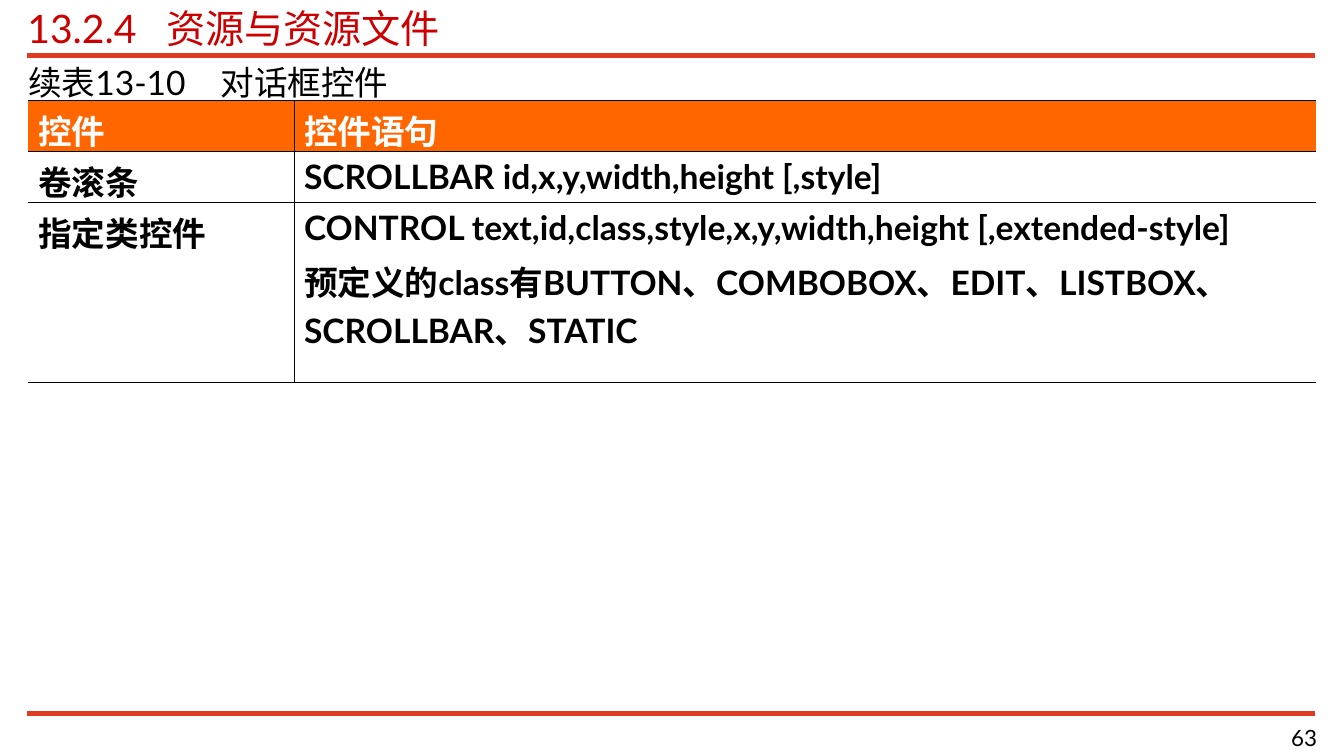
from lxml import etree
from pptx import Presentation
from pptx.enum import shapes, text
from pptx.dml.color import RGBColor
from pptx.oxml.ns import qn
from pptx.util import Cm, Pt

COLORS = {"rule": "E13A23", "title": "CC0000", "header": "FF6600",
          "ink": "000000", "white": "FFFFFF"}
FONT = "Lato"

# text, (left, top, width, height) in cm, size, colour, alignment, tab stop in cm
LABELS = [
    ("13.2.4\t资源与资源文件", (0.69, 0.1, 32.46, 1.19), 28, "title", "LEFT", 3.5),
    ("续表13-10\t对话框控件", (0.71, 1.55, 32.46, 1.02), 24, "ink", "LEFT", 4.85),
    ("63", (26.39, 18.19, 6.81, 0.79), 16, "ink", "RIGHT", None),
]
RULES = [(1.4, 4), (17.98, 3)]  # height on the slide in cm, width in points
RULE_LEFT, RULE_RIGHT = 0.69, 33.15

ROWS = [
    (["控件"], ["控件语句"]),
    (["卷滚条"], ["SCROLLBAR id,x,y,width,height [,style]"]),
    (["指定类控件"],
     ["CONTROL text,id,class,style,x,y,width,height [,extended-style]",
      "预定义的class有BUTTON、COMBOBOX、EDIT、LISTBOX、SCROLLBAR、STATIC"]),
]
TABLE_LEFT, TABLE_TOP = 0.71, 2.54
COL_WIDTHS = [6.7, 25.76]
ROW_HEIGHTS = [1.28, 1.28, 4.54]
ROW_LINES = [0.62, 0.62, 0.45, 0.62]  # points, from the top edge down
COL_LINES = [0, 0.45, 0]  # points, from the left edge across


def rgb(name):
    return RGBColor.from_string(COLORS[name])


def format_font(font, size, color, bold=False):
    for key, value in {"name": FONT, "size": Pt(size), "bold": bold}.items():
        setattr(font, key, value)
    font.color.rgb = rgb(color)


def add_label(s, words, box, size, color, align, tab):
    tf = s.shapes.add_textbox(*map(Cm, box)).text_frame
    frame = {"margin_left": 0, "margin_right": 0, "margin_top": 0, "margin_bottom": 0,
             "word_wrap": True, "vertical_anchor": text.MSO_ANCHOR.MIDDLE}
    for key, value in frame.items():
        setattr(tf, key, value)
    p = tf.paragraphs[0]
    p.alignment = getattr(text.PP_ALIGN, align)
    if tab:
        tabs = etree.SubElement(p._p.get_or_add_pPr(), qn("a:tabLst"))
        etree.SubElement(tabs, qn("a:tab"), pos=str(Cm(tab)), algn="l")
    r = p.add_run()
    r.text = words
    format_font(r.font, size, color)


def add_rule(s, y, width):
    line = s.shapes.add_connector(shapes.MSO_CONNECTOR.STRAIGHT,
                                  Cm(RULE_LEFT), Cm(y), Cm(RULE_RIGHT), Cm(y))
    line.line.color.rgb = rgb("rule")
    line.line.width = Pt(width)
    etree.SubElement(line._element.spPr, qn("a:effectLst"))


def set_borders(cell, widths):
    """Draw the left, right, top and bottom edges; a width of 0 hides the edge."""
    tcPr = cell._tc.get_or_add_tcPr()
    for side, width in zip("LRTB", widths):
        ln = etree.SubElement(tcPr, qn(f"a:ln{side}"), w=str(Pt(width)))
        if width:
            fill = etree.SubElement(ln, qn("a:solidFill"))
            etree.SubElement(fill, qn("a:srgbClr"), val=COLORS["ink"])
        else:
            etree.SubElement(ln, qn("a:noFill"))


def fill_cell(cell, lines, header):
    if header:
        cell.fill.solid()
        cell.fill.fore_color.rgb = rgb("header")
    else:
        cell.fill.background()
    tf = cell.text_frame
    for i, words in enumerate(lines):
        p = tf.add_paragraph() if i else tf.paragraphs[0]
        if i:
            p.space_before = Pt(6)
        r = p.add_run()
        r.text = words
        format_font(r.font, 24, "white" if header else "ink", bold=True)


def add_control_table(s):
    table = s.shapes.add_table(len(ROWS), len(COL_WIDTHS), Cm(TABLE_LEFT), Cm(TABLE_TOP),
                               Cm(sum(COL_WIDTHS)), Cm(sum(ROW_HEIGHTS))).table
    table.first_row = table.horz_banding = False
    for column, width in zip(table.columns, COL_WIDTHS):
        column.width = Cm(width)
    for i, (row, height) in enumerate(zip(table.rows, ROW_HEIGHTS)):
        row.height = Cm(height)
        for j, cell in enumerate(row.cells):
            set_borders(cell, COL_LINES[j:j + 2] + ROW_LINES[i:i + 2])
            fill_cell(cell, ROWS[i][j], header=i == 0)


def main():
    prs = Presentation()
    prs.slide_width, prs.slide_height = Cm(33.88), Cm(19.05)
    s = prs.slides.add_slide(prs.slide_layouts[6])
    for rule in RULES:
        add_rule(s, *rule)
    for label in LABELS:
        add_label(s, *label)
    add_control_table(s)
    prs.save("out.pptx")


if __name__ == "__main__":
    main()
